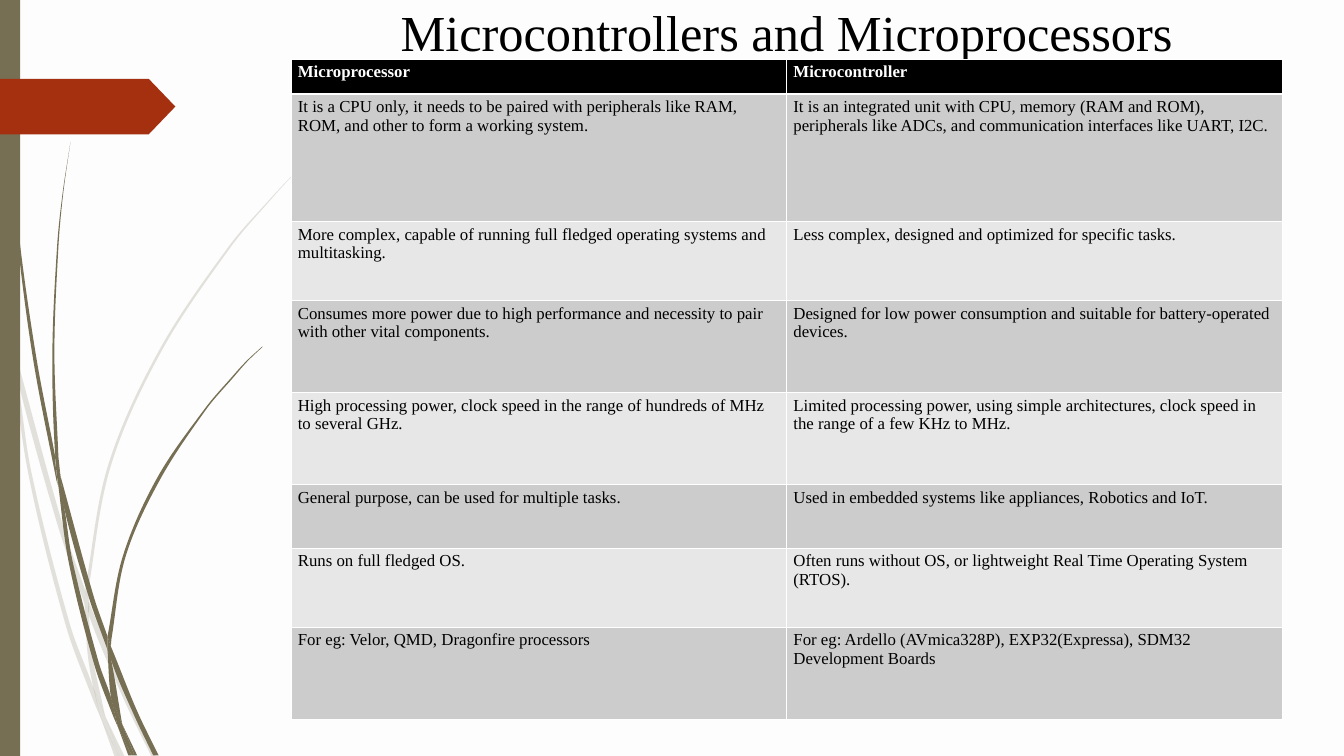
from math import dist

from lxml.etree import SubElement
from pptx import Presentation
from pptx.dml.color import RGBColor
from pptx.enum.shapes import MSO_SHAPE
from pptx.enum.text import MSO_ANCHOR, PP_ALIGN
from pptx.oxml.ns import qn
from pptx.util import Pt

FONT = "Times New Roman"
BLACK = RGBColor(0x00, 0x00, 0x00)
WHITE = RGBColor(0xFF, 0xFF, 0xFF)
PAPER = RGBColor(0xFD, 0xFD, 0xFD)
OLIVE = RGBColor(0x76, 0x6F, 0x54)
RED = RGBColor(0xA5, 0x30, 0x10)
BANDS = [RGBColor(0xCC, 0xCC, 0xCC), RGBColor(0xE7, 0xE7, 0xE7)]

TITLE = "Microcontrollers and Microprocessors"

# (row height, microprocessor, microcontroller)
ROWS = [
    (37.4, "Microprocessor", "Microcontroller"),
    (136.8, "It is a CPU only, it needs to be paired with peripherals like RAM, ROM, "
     "and other to form a working system.",
     "It is an integrated unit with CPU, memory (RAM and ROM), peripherals like ADCs, "
     "and communication interfaces like UART, I2C."),
    (84.6, "More complex, capable of running full fledged operating systems and multitasking.",
     "Less complex, designed and optimized for specific tasks."),
    (98.6, "Consumes more power due to high performance and necessity to pair with "
     "other vital components.",
     "Designed for low power consumption and suitable for battery-operated devices."),
    (98.6, "High processing power, clock speed in the range of hundreds of MHz to several GHz.",
     "Limited processing power, using simple architectures, clock speed in the range "
     "of a few KHz to MHz."),
    (68.2, "General purpose, can be used for multiple tasks.",
     "Used in embedded systems like appliances, Robotics and IoT."),
    (84.6, "Runs on full fledged OS.",
     "Often runs without OS, or lightweight Real Time Operating System (RTOS)."),
    (98.6, "For eg: Velor, QMD, Dragonfire processors",
     "For eg: Ardello (AVmica328P), EXP32(Expressa), SDM32 Development Boards"),
]

# Grass blades: each piece has two edges, in grid units of 0.72 pt
GRID = 0.72
PALE_BLADES = [
    ([(17, 525), (13, 483), (0, 422)], [(0, 449), (15, 516), (17, 525)]),
    ([(21, 518), (26, 564), (86, 782), (126, 899)], [(127, 879), (93, 780), (21, 518)]),
    ([(132, 894), (132, 915), (184, 1040), (226, 1127)],
     [(232, 1127), (191, 1037), (138, 910), (132, 894)]),
    ([(157, 1067), (179, 1127)], [(186, 1127), (157, 1067)]),
    ([(17, 525), (42, 704), (98, 931), (138, 1040), (151, 1071)],
     [(148, 1061), (139, 1024), (104, 929), (47, 704), (26, 564), (17, 525)]),
    ([(126, 899), (130, 969), (139, 1024), (145, 1038), (157, 1067)],
     [(155, 1059), (136, 968), (132, 915), (126, 899)]),
    ([(132, 894), (132, 875), (165, 693), (240, 523), (343, 368), (403, 297),
      (434, 263), (468, 230)],
     [(468, 229), (434, 262), (402, 296), (341, 366), (237, 521), (161, 692),
      (127, 875), (127, 879)]),
    ([(151, 1071), (171, 1127)], [(178, 1127), (151, 1071)]),
    ([(132, 916), (132, 894), (127, 879)], [(126, 899), (132, 913)]),
    ([(139, 1024), (148, 1061), (151, 1071), (178, 1127)],
     [(179, 1127), (157, 1067), (139, 1024)]),
]
DARK_BLADES = [
    ([(4, 0), (5, 72), (10, 165), (25, 349), (49, 533), (84, 715), (86, 722)],
     [(82, 686), (82, 679), (54, 532), (28, 348), (12, 164), (7, 72), (5, 0)]),
    ([(90, 708), (96, 758), (132, 888), (160, 967)],
     [(160, 947), (139, 886), (90, 708)]),
    ([(165, 962), (166, 984), (198, 1061), (228, 1124)],
     [(236, 1124), (204, 1058), (170, 974), (165, 962)]),
    ([(86, 716), (102, 835), (140, 988), (167, 1062), (176, 1083)],
     [(174, 1076), (165, 1037), (147, 986), (108, 835), (96, 758), (86, 716)]),
    ([(105, 211), (93, 289), (85, 367), (78, 524), (82, 674), (90, 708)],
     [(87, 680), (81, 524), (87, 367), (94, 289), (105, 211)]),
    ([(182, 1078), (200, 1124)], [(204, 1124), (182, 1078)]),
    ([(82, 674), (82, 680), (86, 716), (96, 758)], [(90, 708), (82, 674)]),
    ([(165, 962), (166, 950), (187, 828), (238, 714), (307, 609), (347, 562),
      (368, 538), (391, 516)],
     [(390, 516), (367, 537), (346, 560), (305, 608), (234, 711), (183, 827), (160, 947)]),
    ([(176, 1083), (191, 1124)], [(196, 1124), (176, 1083)]),
    ([(160, 967), (165, 1037), (174, 1059), (182, 1078)],
     [(181, 1073), (166, 985), (160, 967)]),
    ([(160, 967), (166, 984), (165, 962)], [(160, 947), (160, 967)]),
    ([(165, 1037), (174, 1076), (176, 1083), (196, 1124)],
     [(200, 1124), (182, 1078), (165, 1037)]),
]


def curve_segments(edge):
    """Two control points and an end for each stretch of a smooth edge."""
    segments = []
    padded = [edge[0], *edge, edge[-1]]
    for a, b, c, d in zip(padded, padded[1:], padded[2:], padded[3:]):
        reach = dist(b, c) / 3
        k1 = reach / (dist(a, b) + dist(b, c))
        k2 = reach / (dist(b, c) + dist(c, d))
        segments.append((tuple(q + k1 * (r - p) for p, q, r in zip(a, b, c)),
                         tuple(q - k2 * (r - p) for p, q, r in zip(b, c, d)), c))
    return segments


def paint(sp, color, alpha=None):
    sp.shadow.inherit = False
    sp.fill.solid()
    sp.fill.fore_color.rgb = color
    sp.line.fill.background()
    if alpha:
        clr = sp.fill._xPr.find(qn("a:solidFill"))[0]
        SubElement(clr, qn("a:alpha"), val=str(alpha * 1000))


def add_blades(s, blades, alpha=None):
    group = s.shapes.add_group_shape()
    for first, second in blades:
        join = [] if first[-1] == second[0] else [(second[0],)]
        segments = curve_segments(first) + join + curve_segments(second)
        builder = group.shapes.build_freeform(*first[0], scale=Pt(GRID))
        builder.add_line_segments([seg[-1] for seg in segments], close=True)
        sp = builder.convert_to_shape()
        left, top = (min(v) for v in zip(*first, *second))
        # Bend the straight stretches into Bezier curves
        outline = sp._element.find(".//" + qn("a:path"))
        for name in ("w", "h"):
            outline.set(name, str(int(outline.get(name)) * 100))
        for pt in outline.iter(qn("a:pt")):
            for name in ("x", "y"):
                pt.set(name, str(int(pt.get(name)) * 100))
        for line, seg in zip(list(outline.iter(qn("a:lnTo"))), segments):
            if len(seg) == 3:
                bend = outline.makeelement(qn("a:cubicBezTo"))
                for x, y in seg:
                    SubElement(bend, qn("a:pt"), x=str(round((x - left) * 100)),
                               y=str(round((y - top) * 100)))
                outline.replace(line, bend)
        paint(sp, OLIVE, alpha)


def set_border(cell, side, width):
    ln = SubElement(cell._tc.get_or_add_tcPr(), qn(f"a:ln{side}"), w=str(Pt(width)))
    SubElement(SubElement(ln, qn("a:solidFill")), qn("a:srgbClr"), val=str(WHITE))


def style(p, size, color, bold=False):
    p.font.name, p.font.size, p.font.bold = FONT, Pt(size), bold
    p.font.color.rgb = color


prs = Presentation()
prs.slide_width, prs.slide_height = Pt(1440), Pt(810)
s = prs.slides.add_slide(prs.slide_layouts[5])
s.background.fill.solid()
s.background.fill.fore_color.rgb = PAPER

# Side decoration
add_blades(s, PALE_BLADES, alpha=20)
add_blades(s, DARK_BLADES)
paint(s.shapes.add_shape(MSO_SHAPE.RECTANGLE, 0, 0, Pt(21.6), Pt(810)), OLIVE)
arrow = s.shapes.add_shape(MSO_SHAPE.PENTAGON, Pt(-0.7), Pt(84.4), Pt(188.6), Pt(59.6))
arrow.adjustments[0] = 0.48
paint(arrow, RED)

# Title
title = s.shapes.title
title.left, title.top, title.width, title.height = Pt(416), Pt(-2), Pt(854), Pt(72.6)
tf = title.text_frame
tf.text = TITLE
tf.word_wrap = False
tf.vertical_anchor = MSO_ANCHOR.TOP
tf.paragraphs[0].alignment = PP_ALIGN.CENTER
style(tf.paragraphs[0], 54, BLACK)

# Comparison table
table = s.shapes.add_table(len(ROWS), 2, Pt(311.9), Pt(63.4), Pt(1062),
                           Pt(sum(row[0] for row in ROWS))).table
for i, (height, *texts) in enumerate(ROWS):
    header = i == 0
    table.rows[i].height = Pt(height)
    for cell, text in zip(table.rows[i].cells, texts):
        for side in "LRTB":
            thick = (header and side == "B") or (i == 1 and side == "T")
            set_border(cell, side, 3 if thick else 1)
        cell.fill.solid()
        cell.fill.fore_color.rgb = BLACK if header else BANDS[(i - 1) % 2]
        cell.text = text
        style(cell.text_frame.paragraphs[0], 18, WHITE if header else BLACK, header)

prs.save("out.pptx")
